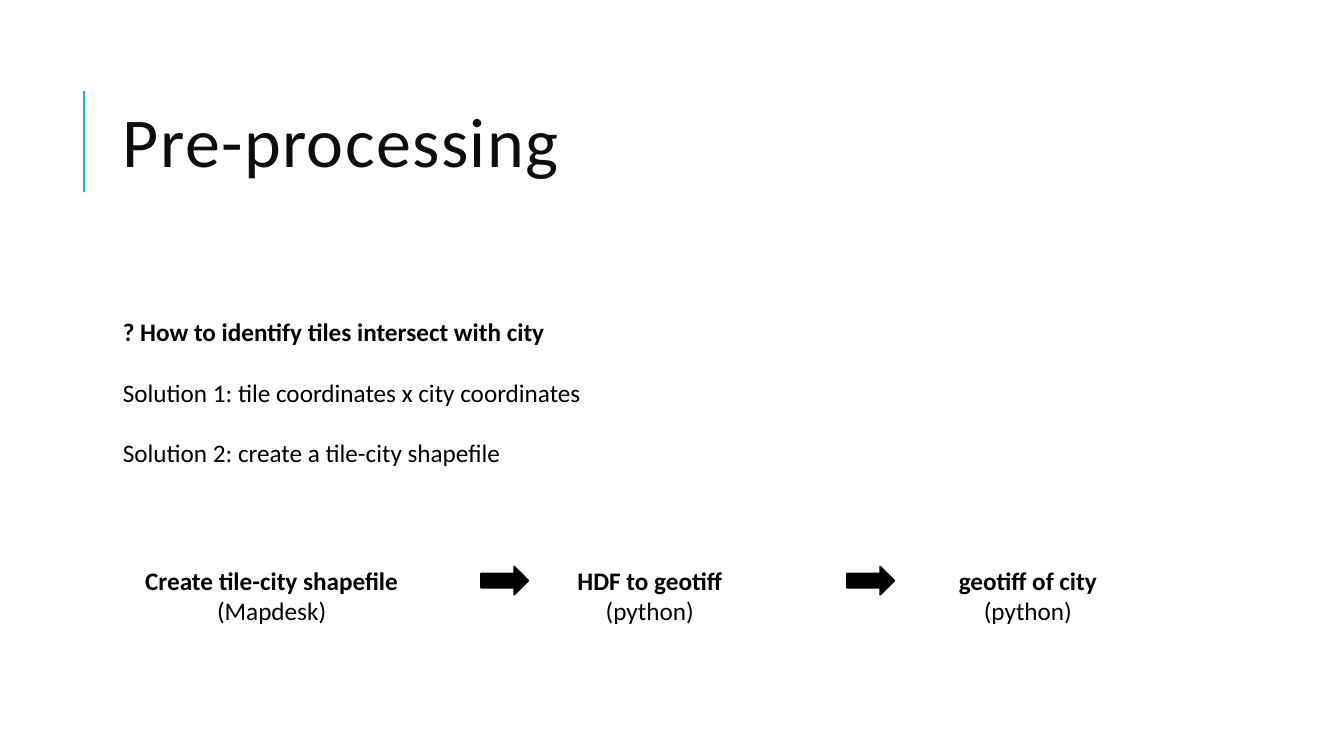
from pptx import Presentation
from pptx import util as u
from pptx.dml.color import RGBColor
from pptx.enum import shapes, text
from lxml import etree

COLORS = {"accent": "1CADE4", "title": "0D0D0D", "ink": "000000", "paper": "FFFFFF"}
DRAWING = "{http://schemas.openxmlformats.org/drawingml/2006/main}"

deck = Presentation()
deck.slide_width, deck.slide_height = u.Inches(13.33), u.Inches(7.5)
slide = deck.slides.add_slide(deck.slide_layouts[6])


def grid(*units):
    return [u.Inches(unit) for unit in units]


def write(frame, lines, size, color, align, anchor):
    frame.word_wrap = True
    frame.vertical_anchor = anchor
    frame.text = "\n".join(line for line, bold in lines)
    for paragraph, (line, bold) in zip(frame.paragraphs, lines):
        paragraph.alignment = align
        font = paragraph.runs[0].font
        font.name, font.size, font.bold = "Calibri", u.Pt(size), bold
        font.color.rgb = RGBColor.from_string(COLORS[color])


rule = slide.shapes.add_connector(shapes.MSO_CONNECTOR.STRAIGHT, *grid(0.83, 1.9, 0.83, 0.9))
rule.line.color.rgb = RGBColor.from_string(COLORS["accent"])
rule.line.width = u.Pt(1.5)
etree.SubElement(rule._element.spPr, DRAWING + "effectLst")

heading = slide.shapes.add_textbox(*grid(1.12, 0.64, 10.63, 1.64)).text_frame
write(heading, [("Pre-processing", False)], 50, "title",
      text.PP_ALIGN.LEFT, text.MSO_ANCHOR.MIDDLE)
heading.paragraphs[0].line_spacing = 0.8
heading.paragraphs[0].runs[0].font._element.set("spc", "100")

question = slide.shapes.add_textbox(*grid(1.12, 3.09, 6.14, 1.62)).text_frame
write(question, [
    ("? How to identify tiles intersect with city", True),
    ("Solution 1: tile coordinates x city coordinates", False),
    ("Solution 2: create a tile-city shapefile", False),
], 18, "ink", text.PP_ALIGN.LEFT, text.MSO_ANCHOR.TOP)
for solution in question.paragraphs[1:]:
    solution.space_before = u.Pt(21.6)

steps = [
    ("Create tile-city shapefile", "(Mapdesk)"),
    ("HDF to geotiff", "(python)"),
    ("geotiff of city", "(python)"),
]
for column, (task, tool) in enumerate(steps):
    step = slide.shapes.add_shape(shapes.MSO_SHAPE.ROUNDED_RECTANGLE,
                                  *grid(1.01 + 3.75 * column, 5.52, 3.37, 0.78))
    step.shadow.inherit = False
    step.fill.solid()
    step.fill.fore_color.rgb = RGBColor.from_string(COLORS["paper"])
    step.line.fill.background()
    write(step.text_frame, [(task, True), (tool, False)], 18, "ink",
          text.PP_ALIGN.CENTER, text.MSO_ANCHOR.MIDDLE)

for column in range(len(steps) - 1):
    arrow = slide.shapes.add_shape(shapes.MSO_SHAPE.RIGHT_ARROW,
                                   *grid(4.77 + 3.63 * column, 5.62, 0.47, 0.28))
    arrow.shadow.inherit = False
    arrow.fill.solid()
    arrow.fill.fore_color.rgb = RGBColor.from_string(COLORS["ink"])
    arrow.line.color.rgb = RGBColor.from_string(COLORS["ink"])
    arrow.line.width = u.Pt(1.25)

deck.save("out.pptx")
